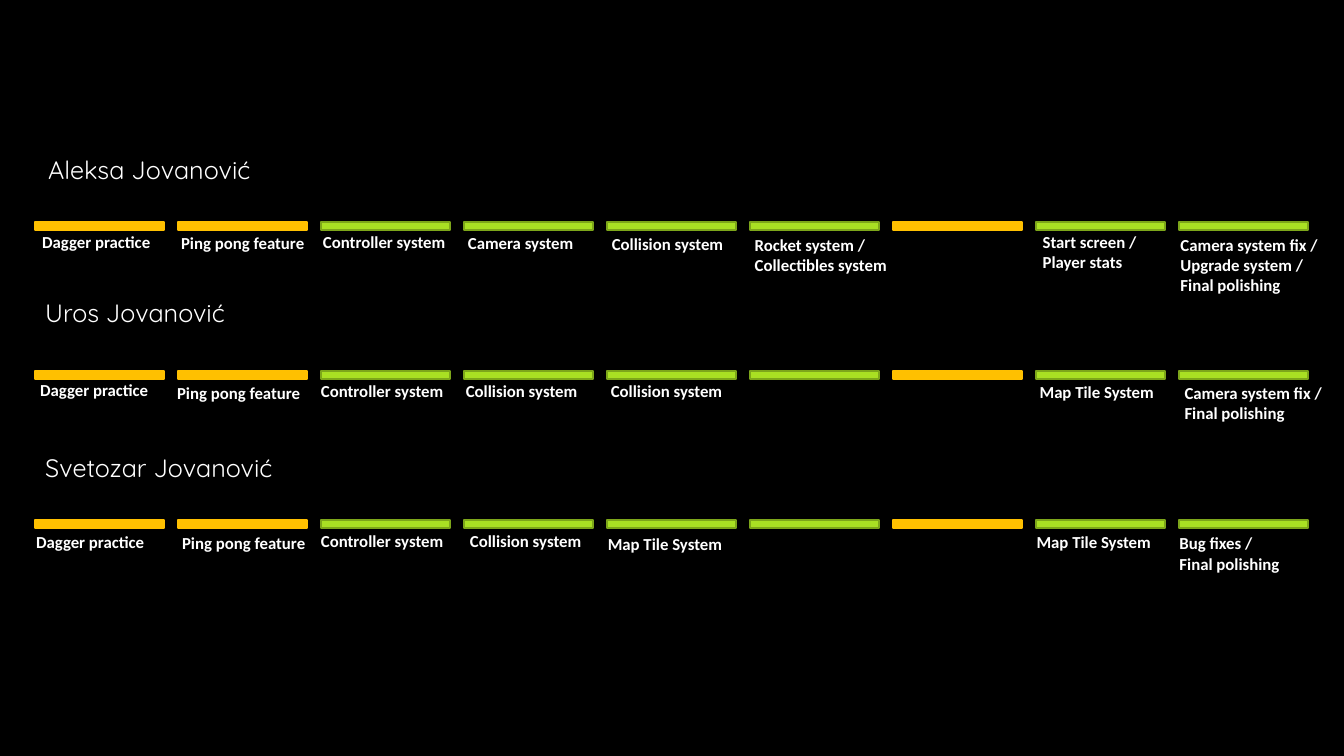
from pptx import Presentation, util as u
from pptx.dml.color import RGBColor
from pptx.enum import shapes, text

COLOURS = {
    "background": "000000",
    "text": "FFFFFF",
    "orange": "FFC000",
    "green": "A9E023",
    "green edge": "7DA61A",
}
COLUMNS = 9
FIRST_LEFT, LAST_LEFT = 0.35, 11.69
COLUMN_STEP = (LAST_LEFT - FIRST_LEFT) / (COLUMNS - 1)
FIRST_TOP, ROW_STEP = 2.2, 1.48
BAR_WIDTH, BAR_HEIGHT = 1.28, 0.08
ORANGE_COLUMNS = {0, 1, 6}
WIDE_COLUMNS = {5, 8}

# Each member: name, name offset from the row's corner, then the tasks as
# column: (text, offset right and down from the bar's corner, line count).
MEMBERS = [
    ("Aleksa Jovanović", (0.03, -0.72), {
        0: ("Dagger practice", -0.03, 0.05, 1),
        1: ("Ping pong feature", -0.07, 0.06, 1),
        2: ("Controller system", -0.08, 0.05, 1),
        3: ("Camera system", -0.06, 0.06, 1),
        4: ("Collision system", -0.05, 0.07, 1),
        5: ("Rocket system / Collectibles system", -0.05, 0.08, 2),
        7: ("Start screen / Player stats", -0.03, 0.05, 2),
        8: ("Camera system fix /\nUpgrade system /\nFinal polishing", -0.08, 0.08, 3),
    }),
    ("Uros Jovanović", (0, -0.78), {
        0: ("Dagger practice", -0.05, 0.04, 1),
        1: ("Ping pong feature", -0.11, 0.07, 1),
        2: ("Controller system", -0.1, 0.05, 1),
        3: ("Collision system", -0.08, 0.05, 1),
        4: ("Collision system", -0.06, 0.05, 1),
        7: ("Map Tile System", -0.06, 0.06, 1),
        8: ("Camera system fix / Final polishing", -0.04, 0.07, 2),
    }),
    ("Svetozar Jovanović", (0, -0.72), {
        0: ("Dagger practice", -0.09, 0.07, 1),
        1: ("Ping pong feature", -0.06, 0.08, 1),
        2: ("Controller system", -0.1, 0.06, 1),
        3: ("Collision system", -0.04, 0.06, 1),
        4: ("Map Tile System", -0.09, 0.09, 1),
        7: ("Map Tile System", -0.09, 0.07, 1),
        8: ("Bug fixes /\nFinal polishing", -0.09, 0.08, 2),
    }),
]


def colour(name):
    return RGBColor.from_string(COLOURS[name])


def add_text(slide, words, left, top, width, height, *, font, size, bold=False):
    box = slide.shapes.add_textbox(*map(u.Inches, (left, top, width, height)))
    frame = box.text_frame
    frame.word_wrap = True
    frame.auto_size = text.MSO_AUTO_SIZE.SHAPE_TO_FIT_TEXT
    frame.text = words
    for paragraph in frame.paragraphs:
        for run in paragraph.runs:
            run.font.name = font
            run.font.size = u.Pt(size)
            run.font.bold = bold
            run.font.color.rgb = colour("text")


def add_bar(slide, left, top, fill, edge):
    bar = slide.shapes.add_shape(
        shapes.MSO_SHAPE.RECTANGLE,
        *map(u.Inches, (left, top, BAR_WIDTH, BAR_HEIGHT)))
    bar.shadow.inherit = False
    bar.fill.solid()
    bar.fill.fore_color.rgb = colour(fill)
    bar.line.color.rgb = colour(edge)
    bar.line.width = u.Pt(1.5)


def add_member_row(slide, left, top, name, name_offset, tasks):
    """Place a name, its nine bars and the task labels from the row's corner."""
    right, down = name_offset
    add_text(slide, name, left + right, top + down, 2.73, 0.4,
             font="Quicksand", size=18)
    for column in range(COLUMNS):
        bar_left = left + column * COLUMN_STEP
        orange = column in ORANGE_COLUMNS
        add_bar(slide, bar_left, top, "orange" if orange else "green",
                "orange" if orange else "green edge")
        if column in tasks:
            words, right, down, lines = tasks[column]
            width = 1.57 if column in WIDE_COLUMNS else 1.46
            add_text(slide, words, bar_left + right, top + down, width,
                     0.1 + 0.2 * lines, font="Calibri", size=12, bold=True)


def main():
    presentation = Presentation()
    presentation.slide_width = u.Inches(13.33)
    presentation.slide_height = u.Inches(7.5)
    blank_layout = presentation.slide_layouts[6]
    slide = presentation.slides.add_slide(blank_layout)
    slide.background.fill.solid()
    slide.background.fill.fore_color.rgb = colour("background")
    for row, member in enumerate(MEMBERS):
        add_member_row(slide, FIRST_LEFT, FIRST_TOP + row * ROW_STEP, *member)
    presentation.save("out.pptx")


if __name__ == "__main__":
    main()
